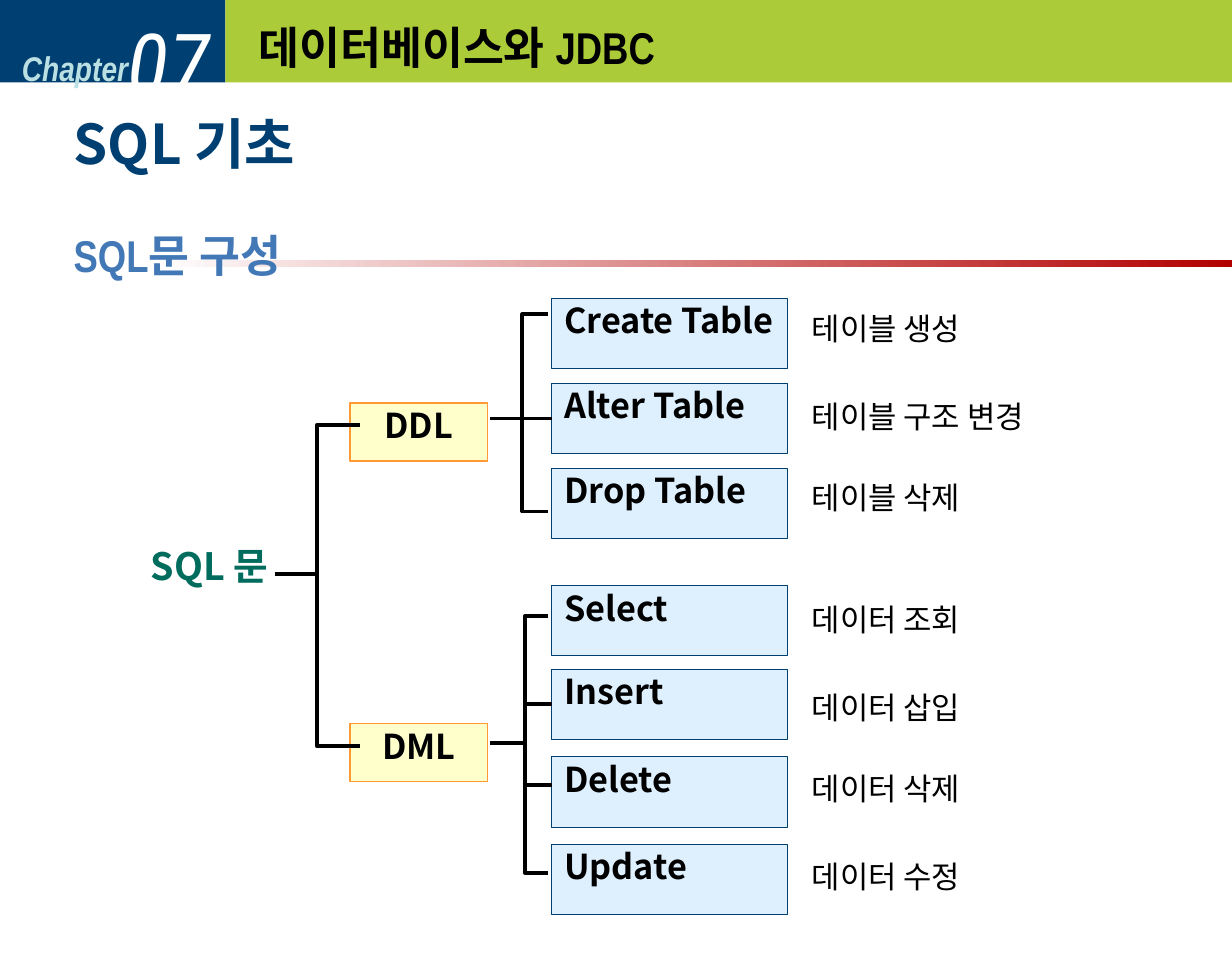
from lxml.etree import SubElement
from pptx import Presentation
from pptx.dml.color import RGBColor
from pptx.enum.shapes import MSO_CONNECTOR, MSO_SHAPE
from pptx.enum.text import MSO_ANCHOR, PP_ALIGN
from pptx.oxml.ns import qn
from pptx.util import Inches, Pt

NOTO = "Noto Sans CJK KR"
NARROW = "Arial Narrow"
NAVY = "003F71"
BLACK = "000000"

HEAD = {"size": Pt(20), "name": NARROW, "bold": True, "italic": True}
NUMBER = {"size": Pt(50), "name": "Roboto Condensed", "italic": True}
TITLE = {"size": Pt(26), "name": NARROW, "bold": True}
TOPIC = {"size": Pt(32), "name": NOTO, "bold": True}
ROOT = {"size": Pt(22), "name": NOTO, "bold": True}
NODE = {"size": Pt(20), "name": NOTO, "bold": True}
NOTE = {"size": Pt(18), "name": NOTO}

GROUPS = [("DDL", 3.27), ("DML", 5.87)]
COMMANDS = [
    ("Create Table", 2.42, "테이블 생성", 2.5),
    ("Alter Table", 3.11, "테이블 구조 변경", 3.21),
    ("Drop Table", 3.8, "테이블 삭제", 3.87),
    ("Select", 4.75, "데이터 조회", 4.86),
    ("Insert", 5.43, "데이터 삽입", 5.57),
    ("Delete", 6.14, "데이터 삭제", 6.23),
    ("Update", 6.85, "데이터 수정", 6.94),
]
BRACKETS = [(2.92, 2.57, 3.45, 6.05), (4.45, 4.24, 2.55, 4.15), (4.45, 4.26, 5, 7.08)]


def color(text):
    return RGBColor.from_string(text)


def write(shape, text, style, ink, align=PP_ALIGN.LEFT, anchor=MSO_ANCHOR.TOP, space=0.9):
    frame = shape.text_frame
    frame.word_wrap = True
    frame.vertical_anchor = anchor
    para = frame.paragraphs[0]
    para.alignment = align
    para.line_spacing = space
    run = para.add_run()
    run.text = text
    for key, value in style.items():
        setattr(run.font, key, value)
    run.font.color.rgb = color(ink)
    SubElement(run.font._element, qn("a:ea")).set("typeface", NOTO)
    return frame


def label(slide, box, text, style, ink, **kind):
    shape = slide.shapes.add_textbox(*map(Inches, box))
    return write(shape, text, style, ink, **kind)


def block(slide, box, fill, line=None, width=0.75):
    shape = slide.shapes.add_shape(MSO_SHAPE.RECTANGLE, *map(Inches, box))
    shape.shadow.inherit = False
    shape.fill.solid()
    shape.fill.fore_color.rgb = color(fill)
    if line:
        shape.line.color.rgb = color(line)
        shape.line.width = Pt(width)
    else:
        shape.line.fill.background()
    return shape


def fade(slide, box, first, last):
    shape = block(slide, box, first)
    shape.fill.gradient()
    shape.fill.gradient_angle = 180
    for stop, tone in zip(shape.fill.gradient_stops, (first, last)):
        stop.color.rgb = color(tone)


def ink_line(shape):
    shape.line.color.rgb = color(BLACK)
    shape.line.width = Pt(2.25)


def link(slide, left, right, y, target=None):
    ends = map(Inches, (left, y, right, y))
    line = slide.shapes.add_connector(MSO_CONNECTOR.STRAIGHT, *ends)
    ink_line(line)
    SubElement(line._element.spPr, qn("a:effectLst"))
    if target is not None:
        line.end_connect(target, 1)
        line.begin_y = line.end_y


def bracket(slide, tip, spine, top, bottom):
    points = [(tip, top), (spine, top), (spine, bottom), (tip, bottom)]
    points = [(Inches(x), Inches(y)) for x, y in points]
    pen = slide.shapes.build_freeform(*points[0])
    pen.add_line_segments(points[1:], close=False)
    shape = pen.convert_to_shape()
    shape.shadow.inherit = False
    shape.fill.background()
    ink_line(shape)


def header(slide):
    middle = {"anchor": MSO_ANCHOR.MIDDLE, "space": 1.0}
    block(slide, (0, 0, 1.83, 0.67), NAVY)
    label(slide, (0.08, 0.25, 1.58, 0.6), "Chapter", HEAD, "BBE0E3", **middle)
    label(slide, (0.94, 0.08, 1, 0.83), "07", NUMBER, "FFFFFF", **middle)
    block(slide, (1.83, 0, 8.17, 0.67), "ACCB39")
    label(slide, (2, 0.08, 7.83, 0.6), "데이터베이스와 JDBC", TITLE, BLACK, **middle)
    fade(slide, (1.25, 2.11, 8.75, 0.06), "B20000", "FFFFFF")
    label(slide, (0.5, 0.9, 9, 0.7), "SQL 기초", TOPIC, NAVY)
    label(slide, (0.5, 1.85, 9, 0.6), "SQL문 구성", TITLE, "4378B6")


def tree(slide):
    label(slide, (0.92, 4.4, 1.56, 0.52), "SQL 문", ROOT, "006C5D", align=PP_ALIGN.CENTER)
    for name, top in GROUPS:
        node = block(slide, (2.84, top, 1.12, 0.47), "FFFFCC", "FF9933")
        write(node, name, NODE, BLACK, align=PP_ALIGN.CENTER)
    nodes = {}
    for name, top, note, drop in COMMANDS:
        node = block(slide, (4.48, top, 1.91, 0.57), "DEF0FE", NAVY, 0.5)
        write(node, name, NODE, BLACK).margin_right = 0
        label(slide, (6.49, drop, 2.68, 0.57), note, NOTE, BLACK).margin_right = 0
        nodes[name] = node
    for shape in BRACKETS:
        bracket(slide, *shape)
    link(slide, 2.23, 2.57, 4.66)
    link(slide, 3.98, 4.48, 3.4, nodes["Alter Table"])
    link(slide, 3.98, 4.26, 6.03)
    link(slide, 4.27, 4.48, 5.7, nodes["Insert"])
    link(slide, 4.27, 4.48, 6.37)


def main():
    deck = Presentation()
    deck.slide_width = Inches(10)
    deck.slide_height = Inches(7.87)
    slide = deck.slides.add_slide(deck.slide_layouts[6])
    header(slide)
    tree(slide)
    deck.save("out.pptx")


if __name__ == "__main__":
    main()
